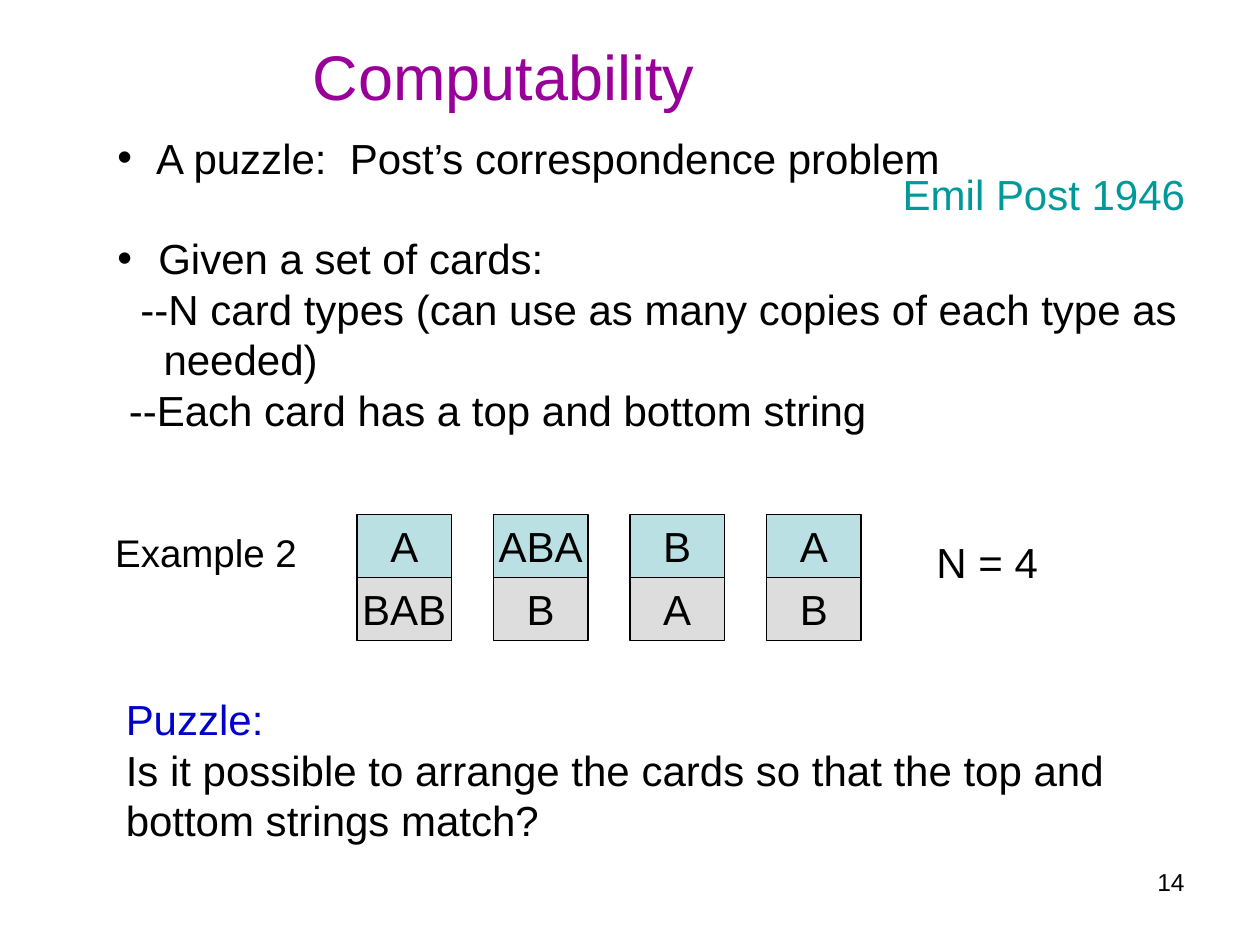
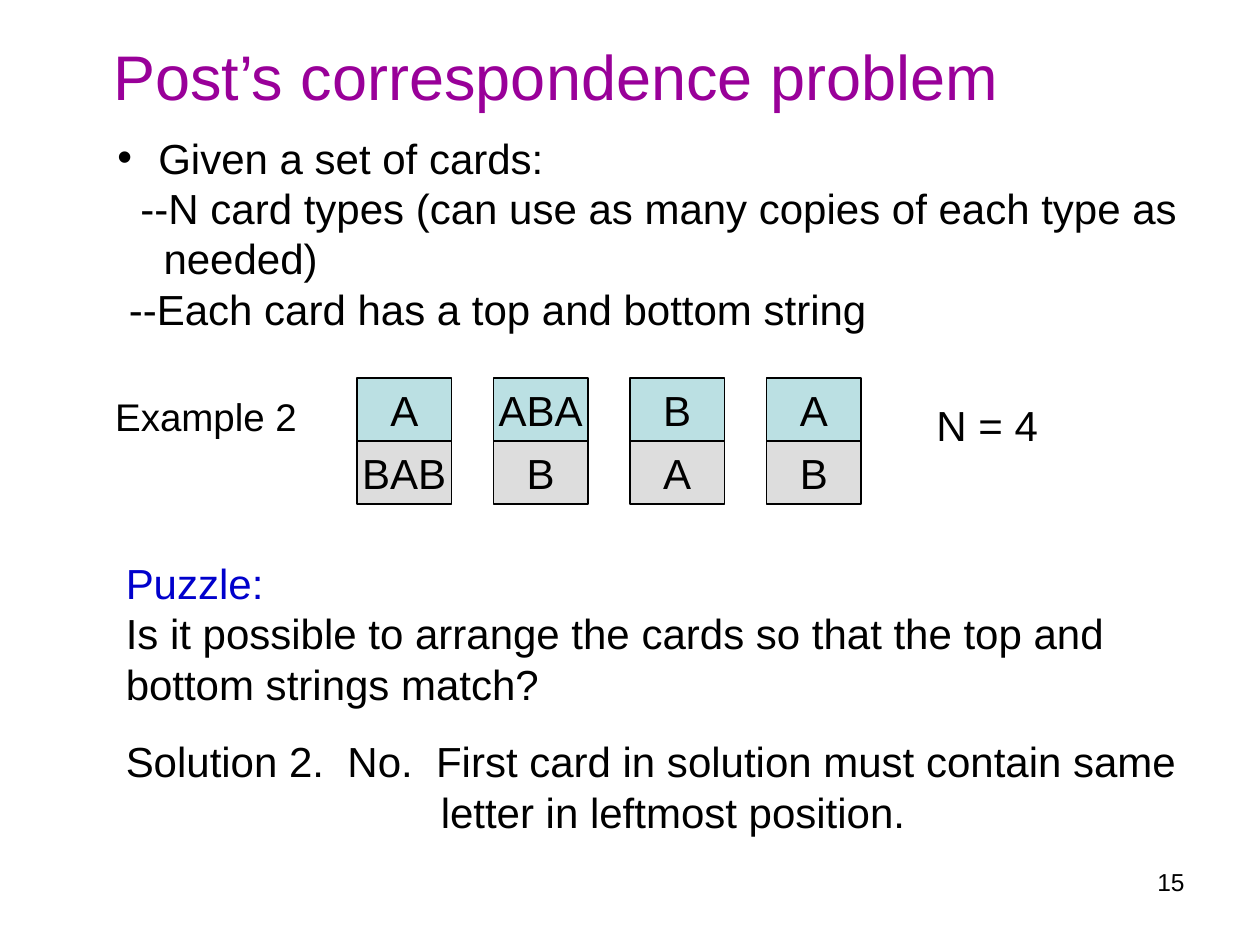
from pptx import Presentation
from pptx.dml.color import RGBColor
from pptx.enum.shapes import MSO_SHAPE
from pptx.enum.text import MSO_ANCHOR, PP_ALIGN
from pptx.oxml.ns import qn
from pptx.util import Pt
from lxml.etree import SubElement

PX = 7620  # 120 px to the inch
FONT = "Arial"
BLACK, PURPLE, BLUE, TEAL = "000000", "990099", "0000CC", "009999"
TOP_FILL, BOTTOM_FILL = "BBE0E3", "DDDDDD"
BODY_SIZE, LINE_HEIGHT = 24, 28.8
BULLET_INDENT = 37
CARD_WIDTH, HALF_HEIGHT, CARD_STEP, FIRST_CARD = 90, 60, 130, 340


def add_line(frame, text, size=BODY_SIZE, color=BLACK, indent=0, bullet=False, before=0):
    """Write one paragraph, reusing the empty first one of a new frame."""
    line = frame.paragraphs[0]
    if line.runs:
        line = frame.add_paragraph()
    run = line.add_run()
    run.text = text
    run.font.name = FONT
    run.font.size = Pt(size)
    run.font.color.rgb = RGBColor.from_string(color)
    line.space_before = Pt(before)
    properties = line._p.get_or_add_pPr()
    properties.set("marL", str(indent * PX))
    properties.set("indent", str(-indent * PX if bullet else 0))
    if bullet:
        SubElement(properties, qn("a:buFont")).set("typeface", FONT)
        SubElement(properties, qn("a:buChar")).set("char", "•")
    else:
        SubElement(properties, qn("a:buNone"))
    return line


def add_text_frame(slide, left, top, width, height):
    box = slide.shapes.add_textbox(left * PX, top * PX, width * PX, height * PX)
    box.text_frame.word_wrap = True
    return box.text_frame


prs = Presentation()
prs.slide_width, prs.slide_height = 1200 * PX, 900 * PX

cards = [("A", "BAB"), ("ABA", "B"), ("B", "A"), ("A", "B")]
card_rules = [
    ("--N card types (can use as many copies of each type as", 22),
    ("needed)", 44),
    ("--Each card has a top and bottom string", 11),
]
# title, its left and width, height of the rules, top of the cards, page number
pages = [
    ("Computability", 269, 414, 300, 490, 14),
    ("Post’s correspondence problem", 79, 894, 204, 360, 15),
]

for title, title_left, title_width, rules_height, cards_top, number in pages:
    slide = prs.slides.add_slide(prs.slide_layouts[6])
    introduces_puzzle = number == 14

    heading = add_text_frame(slide, title_left, 30, title_width, 84)
    add_line(heading, title, 36, PURPLE, indent=17)

    rules = add_text_frame(slide, 100, 120, 1044, rules_height)
    if introduces_puzzle:
        add_line(rules, "A puzzle:  Post’s correspondence problem",
                 indent=BULLET_INDENT, bullet=True)
    add_line(rules, "Given a set of cards:", indent=BULLET_INDENT + 2, bullet=True,
             before=LINE_HEIGHT if introduces_puzzle else 0)
    for rule, indent in card_rules:
        add_line(rules, rule, indent=indent)

    for column, card in enumerate(cards):
        for row, (letters, fill) in enumerate(zip(card, (TOP_FILL, BOTTOM_FILL))):
            half = slide.shapes.add_shape(
                MSO_SHAPE.RECTANGLE,
                (FIRST_CARD + column * CARD_STEP) * PX,
                (cards_top + row * HALF_HEIGHT) * PX,
                CARD_WIDTH * PX, HALF_HEIGHT * PX)
            half.shadow.inherit = False
            half.fill.solid()
            half.fill.fore_color.rgb = RGBColor.from_string(fill)
            half.line.color.rgb = RGBColor.from_string(BLACK)
            half.line.width = Pt(0.75)
            half.text_frame.word_wrap = False
            half.text_frame.vertical_anchor = MSO_ANCHOR.MIDDLE
            add_line(half.text_frame, letters).alignment = PP_ALIGN.CENTER

    card_count = add_text_frame(slide, 880, cards_top + 15, 130, 60)
    add_line(card_count, "N = 4")
    example = add_text_frame(slide, 98, cards_top + 8, 207, 56)
    add_line(example, "Example 2", 22)

    puzzle = add_text_frame(slide, 108, cards_top + 165, 965, 156)
    add_line(puzzle, "Puzzle:", color=BLUE)
    add_line(puzzle, "Is it possible to arrange the cards so that the top and")
    add_line(puzzle, "bottom strings match?")

    if introduces_puzzle:
        author = add_text_frame(slide, 848, 155, 303, 60)
        add_line(author, "Emil Post 1946", color=TEAL)
    else:
        solution = add_text_frame(slide, 108, 695, 1034, 108)
        add_line(solution, "Solution 2.  No.  First card in solution must contain same")
        add_line(solution, "letter in leftmost position.", indent=300)

    page_number = add_text_frame(slide, 860, 820, 280, 62)
    add_line(page_number, str(number), 14).alignment = PP_ALIGN.RIGHT

prs.save("out.pptx")
